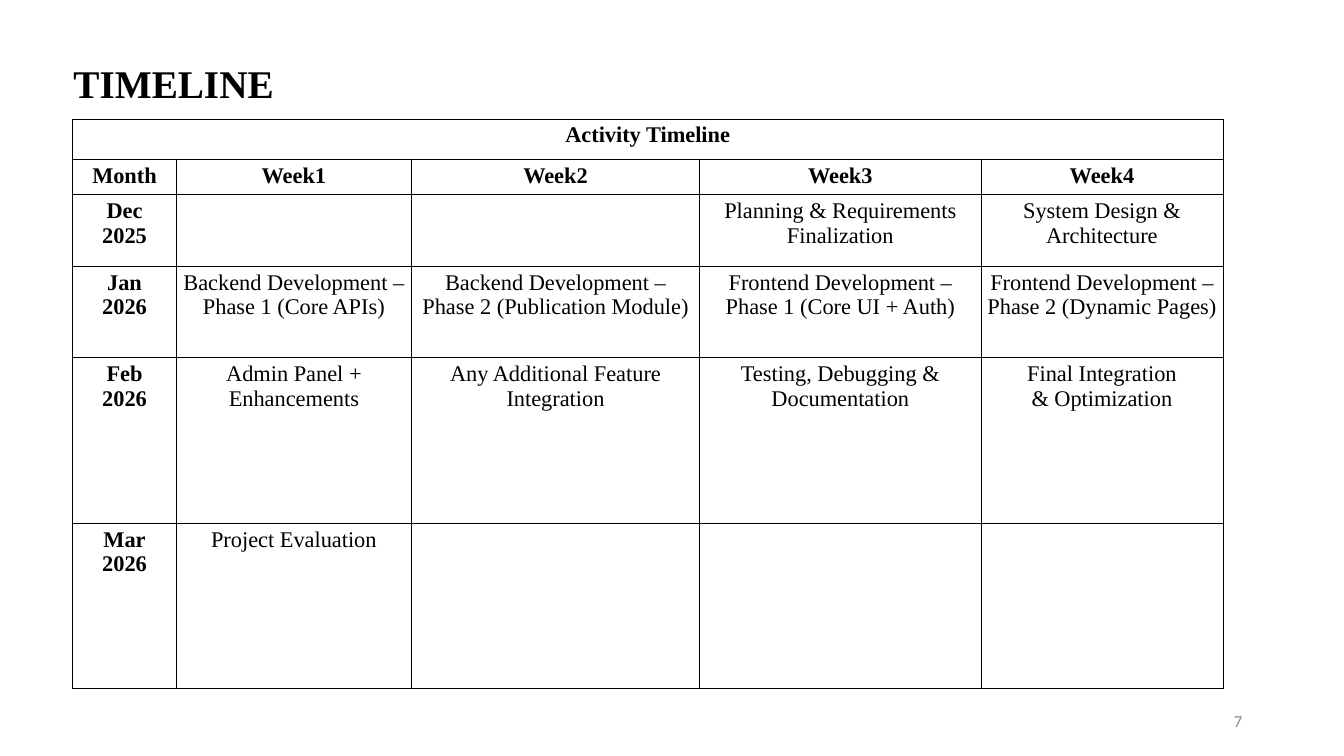
from lxml import etree
from pptx import Presentation
from pptx.dml.color import RGBColor
from pptx.enum import text
from pptx.oxml import ns
from pptx.util import Inches, Pt

BLACK = RGBColor(0x00, 0x00, 0x00)
GRAY = RGBColor(0x8C, 0x8C, 0x8C)
WHITE = RGBColor(0xFF, 0xFF, 0xFF)
SERIF = "Times New Roman"
SANS = "Calibri"

COL_WIDTHS = [1.03, 2.33, 2.86, 2.79, 2.4]
ROW_HEIGHTS = [0.4, 0.35, 0.71, 0.91, 1.64, 1.64]
HEADINGS = ["Month", "Week1", "Week2", "Week3", "Week4"]
SCHEDULE = [
    ["Dec\n2025", "", "", "Planning & Requirements Finalization",
     "System Design & Architecture"],
    ["Jan\n2026", "Backend Development – Phase 1 (Core APIs)",
     "Backend Development – Phase 2 (Publication Module)",
     "Frontend Development – Phase 1 (Core UI + Auth)",
     "Frontend Development – Phase 2 (Dynamic Pages)"],
    ["Feb\n2026", "Admin Panel + Enhancements",
     "Any Additional Feature Integration",
     "Testing, Debugging & Documentation",
     "Final Integration\n& Optimization"],
    ["Mar\n2026", "Project Evaluation", "", "", ""],
]


def write(tf, words, size=16, font=SERIF, color=BLACK, bold=False,
          align=text.PP_ALIGN.LEFT):
    """Fill a text frame, one paragraph per line of words."""
    tf.word_wrap = True
    for i, line in enumerate(words.split("\n")):
        p = tf.add_paragraph() if i else tf.paragraphs[0]
        p.alignment = align
        p.font.size = Pt(size)
        if not line:
            continue
        r = p.add_run()
        r.text = line
        r.font.size = Pt(size)
        r.font.name = font
        r.font.bold = bold
        r.font.color.rgb = color


def add_text(slide, box, words, anchor=text.MSO_ANCHOR.TOP, **fmt):
    sp = slide.shapes.add_textbox(*map(Inches, box))
    sp.text_frame.vertical_anchor = anchor
    write(sp.text_frame, words, **fmt)


def set_borders(cell, color=BLACK, width=0.5):
    tc_pr = cell._tc.get_or_add_tcPr()
    for i, side in enumerate(("lnL", "lnR", "lnT", "lnB")):
        ln = etree.Element(ns.qn(f"a:{side}"), w=str(Pt(width)))
        fill = etree.SubElement(ln, ns.qn("a:solidFill"))
        etree.SubElement(fill, ns.qn("a:srgbClr"), val=str(color))
        tc_pr.insert(i, ln)


def format_cell(cell):
    cell.margin_left = cell.margin_right = Inches(0.06)
    cell.margin_top = cell.margin_bottom = Inches(0.04)
    cell.fill.solid()
    cell.fill.fore_color.rgb = WHITE
    set_borders(cell)


def add_timeline(slide, left, top):
    rows = [["Activity Timeline", "", "", "", ""], HEADINGS] + SCHEDULE
    frame = slide.shapes.add_table(
        len(rows), len(HEADINGS), Inches(left), Inches(top),
        Inches(sum(COL_WIDTHS)), Inches(sum(ROW_HEIGHTS)))
    table = frame.table
    table.first_row = table.horz_banding = False
    for column, width in zip(table.columns, COL_WIDTHS):
        column.width = Inches(width)
    for row, height in zip(table.rows, ROW_HEIGHTS):
        row.height = Inches(height)
    table.cell(0, 0).merge(table.cell(0, len(HEADINGS) - 1))
    for i, row in enumerate(rows):
        for j, words in enumerate(row):
            cell = table.cell(i, j)
            format_cell(cell)
            write(cell.text_frame, words, bold=i < 2 or j == 0,
                  align=text.PP_ALIGN.CENTER)


def build_timeline_slide(prs):
    slide = prs.slides.add_slide(prs.slide_layouts[6])
    add_timeline(slide, 0.72, 1.18)
    add_text(slide, (0.63, 0.54, 10.28, 0.57), "TIMELINE", size=28, bold=True)
    add_text(slide, (9.42, 6.95, 3, 0.4), "7", size=12, font=SANS, color=GRAY,
             align=text.PP_ALIGN.RIGHT, anchor=text.MSO_ANCHOR.MIDDLE)


def main():
    prs = Presentation()
    prs.slide_width = Inches(13.33)
    prs.slide_height = Inches(7.5)
    build_timeline_slide(prs)
    prs.save("out.pptx")


if __name__ == "__main__":
    main()
